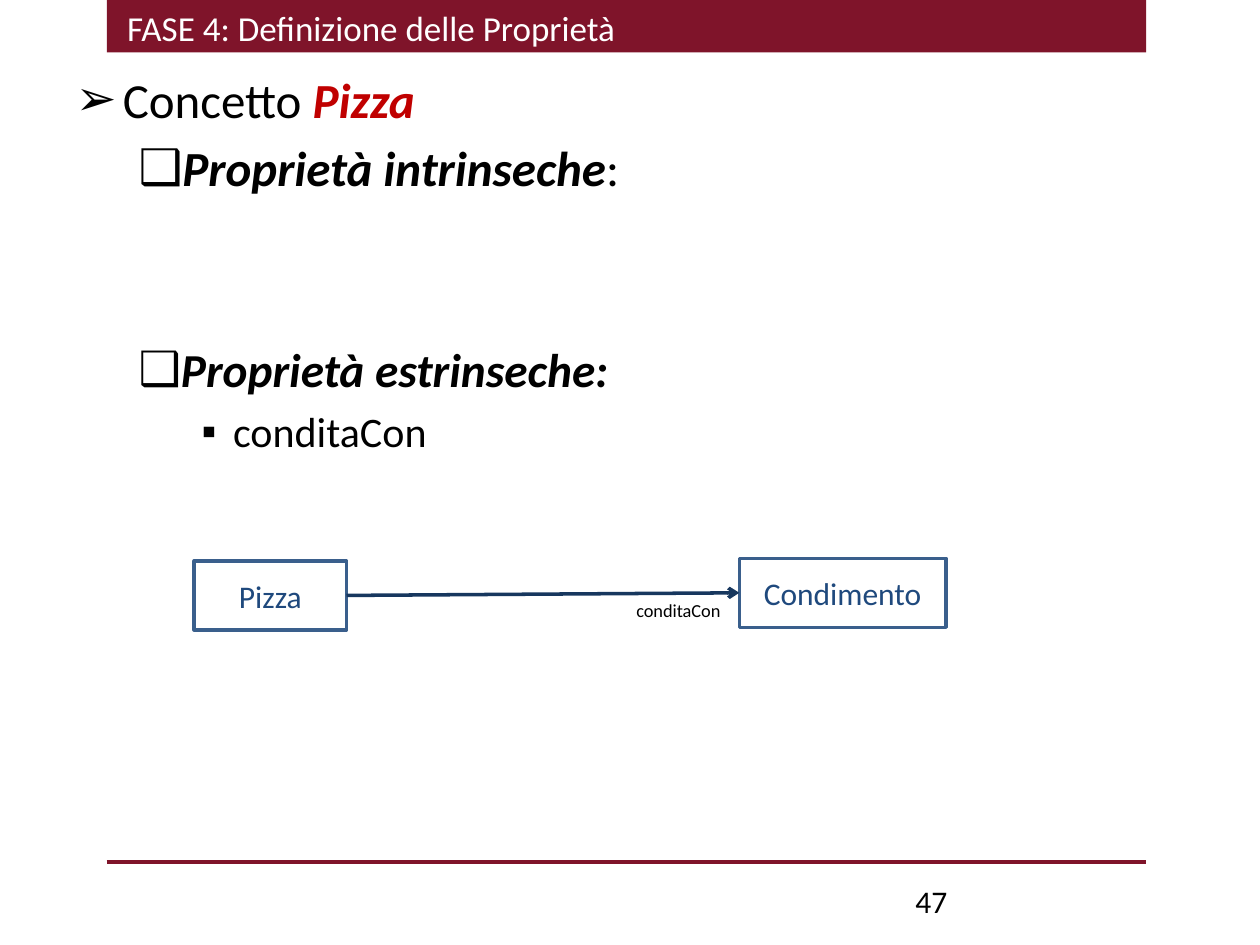
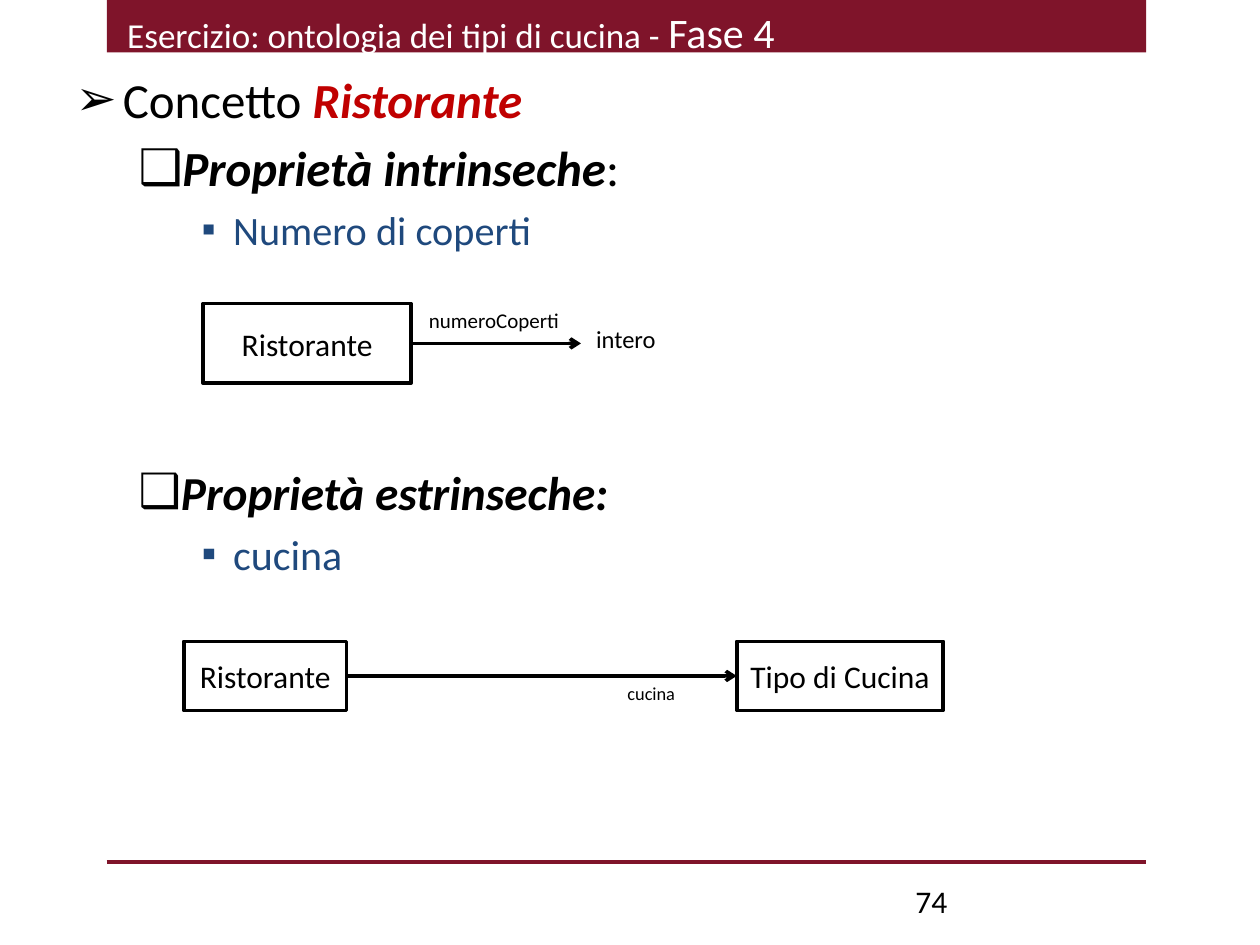
from lxml.etree import SubElement
from pptx import Presentation
from pptx.dml.color import RGBColor
from pptx.enum.shapes import MSO_CONNECTOR, MSO_SHAPE
from pptx.enum.text import MSO_ANCHOR, MSO_AUTO_SIZE, PP_ALIGN
from pptx.oxml.ns import qn
from pptx.util import Pt

FONT = "Calibri"
COLORS = {
    "band": "7F142A",
    "white": "FFFFFF",
    "black": "000000",
    "concept": "C00000",
    "blue": "1F497D",
    "border": "3A5F8C",
    "arrow": "17375E",
}
BULLETS = [("➢", 27, -27), ("❑", 58.5, -22.5), ("▪", 90, -18)]
BAND_LEFT, BAND_WIDTH, BAND_HEIGHT = 61, 594, 30
FOOTER_Y = 492.5
RIGHT, LEFT = 3, 1


def outline(concept, intrinsic, extrinsic, extrinsic_color, gap):
    return [
        (0, None, [("Concetto ", 28, "black", False), (concept, 28, "concept", True)]),
        (1, None, [("Proprietà intrinseche", 28, "black", True), (":", 28, "black", False)]),
        *[(2, None, [(name, 23, "blue", False)]) for name in intrinsic],
        (1, gap, [("Proprietà estrinseche:", 27, "black", True)]),
        (2, None, [(extrinsic, 24, extrinsic_color, False)]),
    ]


SLIDES = [
    {
        "title": [("FASE 4: Definizione delle Proprietà", 20, "white", False)],
        "outline": outline("Pizza", [], "conditaCon", "black", 82),
        "number": "47",
        "colors": {"text": "blue", "border": "border", "arrow": "arrow"},
        "concepts": [
            ("Pizza", 111, 320.5, 87, 39.5),
            ("Condimento", 422.5, 319, 118, 39.5),
        ],
        "relations": [(0, 1)],
        "labels": [("conditaCon", 10.5, 356.5, 339, 94, 20)],
    },
    {
        "title": [
            ("Esercizio: ontologia dei tipi di cucina - ", 20, "white", False),
            ("Fase 4", 24, "white", False),
        ],
        "outline": outline("Ristorante", ["Numero di coperti"], "cucina", "blue", 120),
        "number": "74",
        "colors": {"text": "black", "border": "black", "arrow": "black"},
        "concepts": [
            ("Ristorante", 105, 366.5, 93, 39.5),
            ("Tipo di Cucina", 421, 366.5, 118, 39.5),
            ("Ristorante", 116, 173.5, 119, 45.5),
        ],
        "relations": [(0, 1), (2, 332)],
        "labels": [
            ("cucina", 10.5, 351.5, 386.5, 94, 20),
            ("numeroCoperti", 12, 238, 172, 89, 22),
            ("intero", 14, 333.5, 181.5, 49, 24),
        ],
    },
]


def rgb(name):
    return RGBColor.from_string(COLORS[name])


def style_run(run, size, color, emphasis=False):
    run.font.name = FONT
    run.font.size = Pt(size)
    run.font.color.rgb = rgb(color)
    run.font.bold = run.font.italic = emphasis


def add_runs(paragraph, parts):
    for text, *style in parts:
        run = paragraph.add_run()
        run.text = text
        style_run(run, *style)


def place(shape, left, top, width, height):
    shape.left, shape.top = Pt(left), Pt(top)
    shape.width, shape.height = Pt(width), Pt(height)


def add_line(slide, start, end, color):
    line = slide.shapes.add_connector(MSO_CONNECTOR.STRAIGHT, *map(Pt, start + end))
    line.line.color.rgb = rgb(color)
    line.line.width = Pt(2)
    SubElement(line._element.spPr, qn("a:effectLst"))
    return line


def add_band_and_footer(layout, slide):
    band = slide.shapes.add_shape(
        MSO_SHAPE.RECTANGLE, Pt(BAND_LEFT), 0, Pt(BAND_WIDTH), Pt(BAND_HEIGHT)
    )
    band.shadow.inherit = False
    band.fill.solid()
    band.fill.fore_color.rgb = rgb("band")
    band.line.fill.background()
    footer = add_line(
        slide, (BAND_LEFT, FOOTER_Y), (BAND_LEFT + BAND_WIDTH, FOOTER_Y), "band"
    )
    for position, part in enumerate((band, footer)):
        part._element.xpath(".//p:cNvPr")[0].set("id", str(20 + position))
        layout.shapes._spTree.insert(2 + position, part._element)


def fill_title(title, parts):
    place(title, 65.5, 0, 580, 32)
    frame = title.text_frame
    frame.auto_size = MSO_AUTO_SIZE.NONE
    frame.vertical_anchor = MSO_ANCHOR.TOP
    frame.paragraphs[0].alignment = PP_ALIGN.LEFT
    add_runs(frame.paragraphs[0], parts)


def fill_outline(body, items):
    place(body, 36, 36, 648, 471.5)
    frame = body.text_frame
    frame.auto_size = MSO_AUTO_SIZE.NONE
    for index, (level, gap, parts) in enumerate(items):
        paragraph = frame.add_paragraph() if index else frame.paragraphs[0]
        paragraph.level = level
        if index == 0:
            paragraph.space_before = Pt(0)
        elif gap:
            paragraph.space_before = Pt(gap)
        bullet, margin, indent = BULLETS[level]
        properties = paragraph._p.get_or_add_pPr()
        properties.set("marL", str(Pt(margin)))
        properties.set("indent", str(Pt(indent)))
        SubElement(properties, qn("a:buChar"), char=bullet)
        add_runs(paragraph, parts)


def add_label(slide, text, size, *box):
    label = slide.shapes.add_textbox(*map(Pt, box))
    label.text_frame.word_wrap = True
    label.text_frame.text = text
    style_run(label.text_frame.paragraphs[0].runs[0], size, "black")


def add_concept(slide, colors, name, *box):
    concept = slide.shapes.add_shape(MSO_SHAPE.RECTANGLE, *map(Pt, box))
    concept.shadow.inherit = False
    concept.fill.background()
    concept.line.color.rgb = rgb(colors["border"])
    concept.line.width = Pt(2)
    frame = concept.text_frame
    frame.word_wrap = False
    frame.vertical_anchor = MSO_ANCHOR.MIDDLE
    frame.text = name
    frame.paragraphs[0].alignment = PP_ALIGN.CENTER
    style_run(frame.paragraphs[0].runs[0], 18, colors["text"])
    return concept


def add_relation(slide, colors, concepts, boxes, source, target):
    _, left, top, width, height = boxes[source]
    start = (left + width, top + height / 2)
    if target < len(boxes):
        _, left, top, width, height = boxes[target]
        end = (left, top + height / 2)
    else:
        end = (target, start[1])
    relation = add_line(slide, start, end, colors["arrow"])
    relation.begin_connect(concepts[source], RIGHT)
    if target < len(boxes):
        relation.end_connect(concepts[target], LEFT)
    SubElement(relation._element.spPr.find(qn("a:ln")), qn("a:tailEnd"), type="arrow")


def main():
    deck = Presentation()
    deck.slide_width, deck.slide_height = Pt(720), Pt(540)
    layout = deck.slide_layouts[1]
    for index, content in enumerate(SLIDES):
        slide = deck.slides.add_slide(layout)
        if index == 0:
            add_band_and_footer(layout, slide)
        fill_title(slide.shapes.title, content["title"])
        fill_outline(slide.placeholders[1], content["outline"])
        colors, boxes = content["colors"], content["concepts"]
        concepts = [add_concept(slide, colors, *box) for box in boxes]
        for source, target in content["relations"]:
            add_relation(slide, colors, concepts, boxes, source, target)
        for label in content["labels"]:
            add_label(slide, *label)
        add_label(slide, content["number"], 18, 516, 500.5, 168, 29)
    deck.save("out.pptx")


if __name__ == "__main__":
    main()
